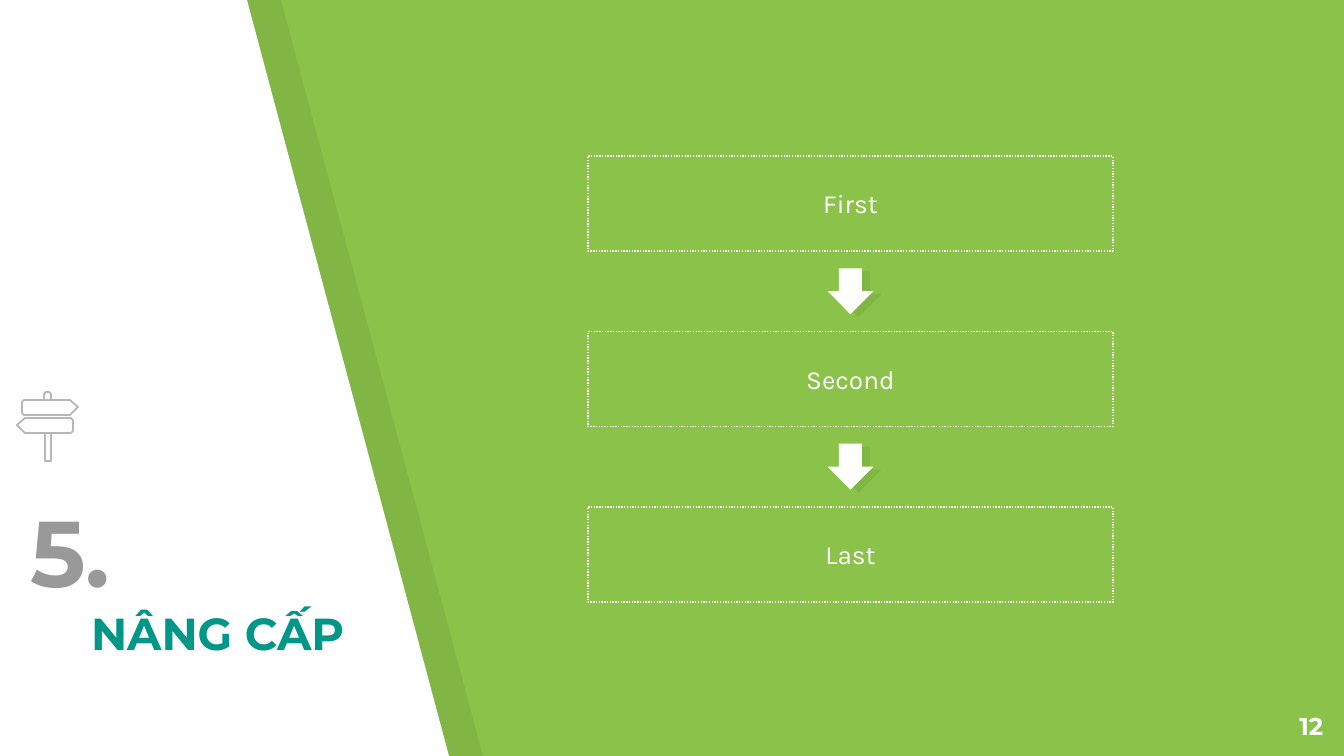
from lxml import etree
from pptx import Presentation
from pptx.dml.color import RGBColor
from pptx.enum.dml import MSO_LINE
from pptx.enum.shapes import MSO_SHAPE
from pptx.enum.text import MSO_ANCHOR, PP_ALIGN
from pptx.oxml.ns import qn
from pptx.util import Pt

RECTANGLE, DOWN_ARROW = MSO_SHAPE.RECTANGLE, MSO_SHAPE.DOWN_ARROW
DOTTED = MSO_LINE.ROUND_DOT
TOP, MIDDLE, BOTTOM = MSO_ANCHOR.TOP, MSO_ANCHOR.MIDDLE, MSO_ANCHOR.BOTTOM
LEFT, CENTER, RIGHT = PP_ALIGN.LEFT, PP_ALIGN.CENTER, PP_ALIGN.RIGHT
SCALE = 9144000 / 1344
WIDTH, HEIGHT, INSET = 1344, 756, 13
COLORS = {
    "green": "8BC34A", "white": "FFFFFF", "shade": "000000",
    "number": "999999", "title": "009688", "icon": "B7B7B7",
}
HEADING = {"name": "Montserrat", "bold": True}
BODY = {"name": "Karla", "size": Pt(14)}


def px(length):
    """Turn a length in px into EMU."""
    return round(length * SCALE)


def color(name):
    """Look up a named colour."""
    return RGBColor.from_string(COLORS[name])


def style(shape, fill=None, line=None, width=0.75, dash=None, alpha=None):
    """Set fill, outline and transparency, without a shadow."""
    shape.shadow.inherit = False
    if fill:
        shape.fill.solid()
        shape.fill.fore_color.rgb = color(fill)
    else:
        shape.fill.background()
    if alpha:
        tint = shape.fill._xPr.find(qn("a:solidFill"))[0]
        etree.SubElement(tint, qn("a:alpha")).set("val", str(alpha * 1000))
    if line:
        shape.line.color.rgb = color(line)
        shape.line.width = Pt(width)
        shape.line.dash_style = dash
    else:
        shape.line.fill.background()


def add_outline(slide, points, **look):
    """Draw a closed outline through points in px."""
    builder = slide.shapes.build_freeform(*points[0], scale=SCALE)
    builder.add_line_segments(points[1:], close=True)
    style(builder.convert_to_shape(), **look)


def add_preset(slide, preset, box, **look):
    """Place a preset shape in a box given in px."""
    shape = slide.shapes.add_shape(preset, *map(px, box))
    style(shape, **look)
    return shape


def write(shape, lines, anchor, align):
    """Write one paragraph per (text, colour, indent, font values)."""
    frame = shape.text_frame
    settings = {"word_wrap": True, "vertical_anchor": anchor}
    settings |= {f"margin_{side}": px(INSET) for side in ("left", "top", "right", "bottom")}
    for name, value in settings.items():
        setattr(frame, name, value)
    for index, (text, tone, indent, values) in enumerate(lines):
        paragraph = frame.add_paragraph() if index else frame.paragraphs[0]
        paragraph.alignment = align
        if indent:
            paragraph._p.get_or_add_pPr().set("marL", str(px(indent)))
        run = paragraph.add_run()
        run.text = text
        run.font.color.rgb = color(tone)
        for name, value in values.items():
            setattr(run.font, name, value)


def add_side_panel(slide, box):
    """Draw the white slanted panel over its shaded edge."""
    left, top, width, height = box
    for shift, look in ((34, {"fill": "shade", "alpha": 7}), (0, {"fill": "white"})):
        right = left + width + shift
        points = [(left, top), (left, top + height), (right, top + height), (right - 202, top)]
        add_outline(slide, points, **look)


def add_title(slide, box):
    """Write the section number above its indented name."""
    lines = [
        ("5.", "number", 0, HEADING | {"size": Pt(50)}),
        ("NÂNG CẤP", "title", 61, HEADING | {"size": Pt(24)}),
    ]
    write(slide.shapes.add_textbox(*map(px, box)), lines, BOTTOM, LEFT)


def add_steps(slide, box, labels):
    """Stack dotted boxes evenly, with an arrow in each gap."""
    left, top, width, height = box
    step_height, arrow = 95, 46
    pitch = (height - step_height) / (len(labels) - 1)
    arrow_left = left + (width - arrow) / 2
    arrow_offset = (step_height + pitch - arrow) / 2
    for index, label in enumerate(labels):
        step_top = top + index * pitch
        step = add_preset(slide, RECTANGLE, (left, step_top, width, step_height),
                          line="white", dash=DOTTED)
        write(step, [(label, "white", 0, BODY)], MIDDLE, CENTER)
        if index:
            arrow_top = step_top - pitch + arrow_offset
            for across, down, look in ((8, 3, {"fill": "shade", "alpha": 7}),
                                       (0, 0, {"fill": "white"})):
                place = (arrow_left + across, arrow_top + down, arrow, arrow)
                add_preset(slide, DOWN_ARROW, place, **look)


def add_signpost(slide, box):
    """Draw two boards pointing opposite ways, with a cap and a post."""
    left, top, width, height = box
    board = [(2, 0), (48, 0), (56, 7), (48, 15), (2, 15), (0, 13), (0, 2)]
    cap = [(27, 8), (27, 2), (29, 0), (32, 0), (34, 2), (34, 8)]
    post = [(28, 41), (28, height), (34, height), (34, 41)]
    right_board = [(x + 5, y + 8) for x, y in board]
    left_board = [(width - 5 - x, y + 26) for x, y in board]
    for part in (right_board, left_board, cap, post):
        add_outline(slide, [(left + x, top + y) for x, y in part], line="icon", width=0.96)


def add_page_number(slide, box, number):
    """Write the page number at the right of its box."""
    lines = [(number, "white", 0, HEADING | {"size": Pt(13)})]
    write(slide.shapes.add_textbox(*map(px, box)), lines, TOP, RIGHT)


def main():
    """Build and save the slide."""
    presentation = Presentation()
    presentation.slide_width, presentation.slide_height = px(WIDTH), px(HEIGHT)
    slide = presentation.slides.add_slide(presentation.slide_layouts[6])
    slide.background.fill.solid()
    slide.background.fill.fore_color.rgb = color("green")
    add_side_panel(slide, (0, 0, 449, HEIGHT))
    add_title(slide, (17, 602, 370, 71))
    add_steps(slide, (588, 156, 525, 446), ["First", "Second", "Last"])
    add_signpost(slide, (17, 392, 61, 69))
    add_page_number(slide, (1255, 698, 81, 58), "12")
    presentation.save("out.pptx")


if __name__ == "__main__":
    main()
